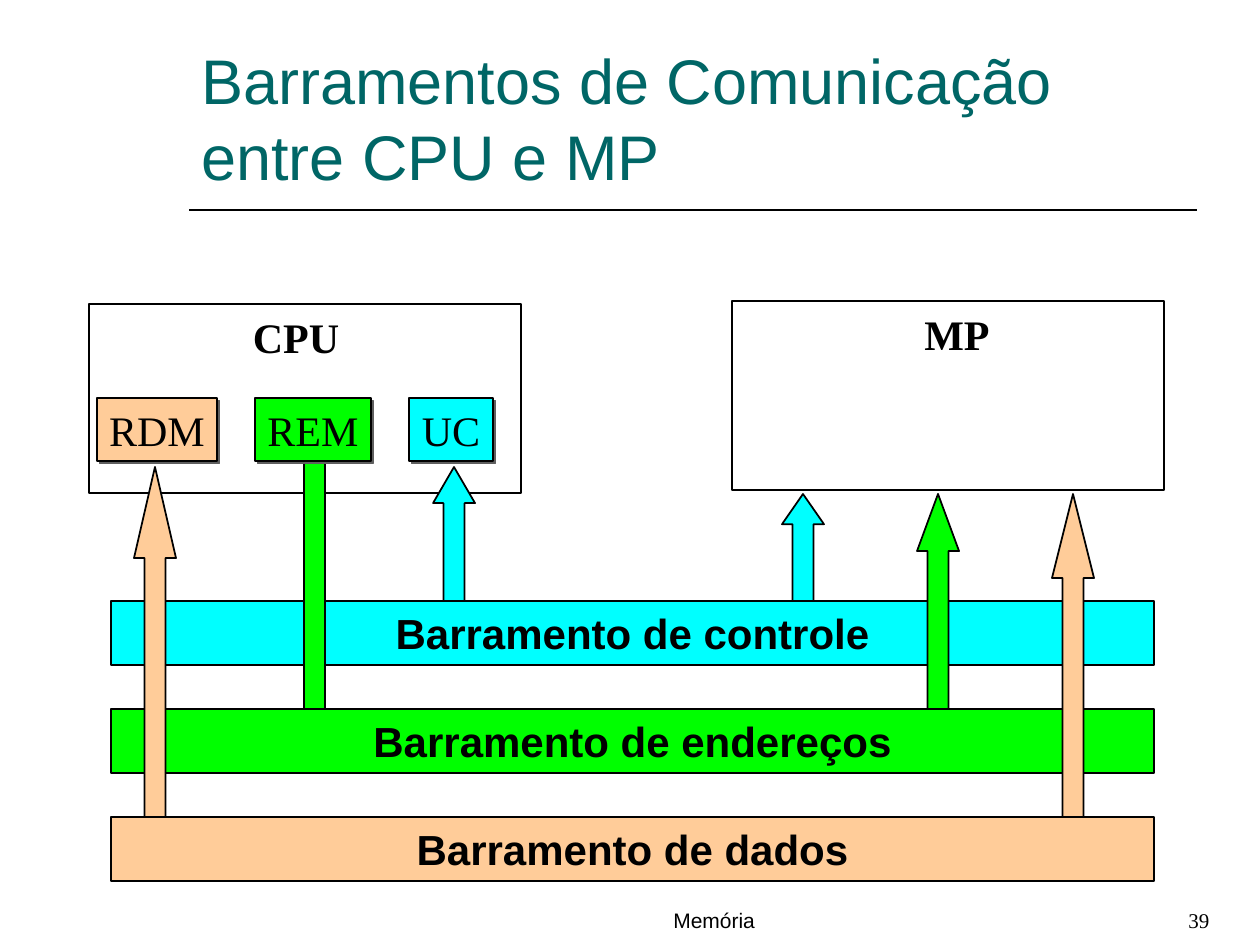
from pptx import Presentation
from pptx.dml.color import RGBColor
from pptx.enum.shapes import MSO_CONNECTOR, MSO_SHAPE
from pptx.enum.text import MSO_ANCHOR, PP_ALIGN
from pptx.oxml import parse_xml
from pptx.oxml.ns import nsdecls
from pptx.util import Emu, Pt

RECT, ARROW = MSO_SHAPE.RECTANGLE, MSO_SHAPE.UP_ARROW
LEFT, CENTER = PP_ALIGN.LEFT, PP_ALIGN.CENTER
TOP, BOTTOM = MSO_ANCHOR.TOP, MSO_ANCHOR.BOTTOM
STRAIGHT = MSO_CONNECTOR.STRAIGHT
SCALE = 914400 / 126


class Theme:
    black = RGBColor(0, 0, 0)
    white = RGBColor(255, 255, 255)
    teal = RGBColor(0, 102, 102)
    cyan = RGBColor(0, 255, 255)
    green = RGBColor(0, 255, 0)
    peach = RGBColor(255, 204, 153)
    shade = "5F5F5F"
    sans, serif = "Arial", "Times New Roman"
    head, body, foot = Pt(36), Pt(24), Pt(12)
    line = Pt(1)


def px(*nums):
    return [Emu(round(n * SCALE)) for n in nums]


def write(shape, text, font, size, color=Theme.black, bold=False,
          align=CENTER, anchor=TOP, wrap=True):
    frame = shape.text_frame
    frame.word_wrap = wrap
    frame.vertical_anchor = anchor
    para = frame.paragraphs[0]
    para.alignment = align
    run = para.add_run()
    run.text = text
    run.font.name = font
    run.font.size = size
    run.font.bold = bold
    run.font.color.rgb = color


deck = Presentation()
deck.slide_width, deck.slide_height = px(1260, 945)
slide = deck.slides.add_slide(deck.slide_layouts[6])
shapes = slide.shapes

rule = shapes.add_connector(STRAIGHT, *px(189, 210, 1197, 210))
rule.line.color.rgb = Theme.black
rule.line.width = Theme.line
rule._element.spPr.append(parse_xml(f"<a:effectLst {nsdecls('a')}/>"))

title = shapes.add_textbox(*px(189, 42, 1008, 157))
write(title, "Barramentos de Comunicação entre CPU e MP", Theme.sans, Theme.head,
      Theme.teal, align=LEFT, anchor=BOTTOM)

for text, left, font in [("39", 1176, Theme.serif), ("Memória", 661, Theme.sans)]:
    note = shapes.add_textbox(*px(left, 901, 112, 38))
    write(note, text, font, Theme.foot, align=LEFT)

cpu, mp = (89, 304, 432, 189), (732, 301, 432, 189)
control = [(782, 494, 121, 0.72), (433, 467, 145, 0.86)]
address = [(917, 494, 228, 1.36)]
data = [(134, 467, 365, 2.17), (1052, 494, 336, 2)]

parts = [(RECT, *cpu, Theme.white, None), (RECT, *mp, Theme.white, None)]
buses = [
    ("Barramento de controle", Theme.cyan, control),
    ("Barramento de endereços", Theme.green, address),
    ("Barramento de dados", Theme.peach, data),
]
for row, (text, color, arrows) in enumerate(buses):
    if color == Theme.green:
        parts.append((RECT, 304, 462, 21, 265, color, None))
    for left, top, high, tip in arrows:
        parts.append((ARROW, left, top, 42, high, color, tip))
    parts.append((RECT, 111, 601 + 108 * row, 1043, 64, color, text))

for kind, left, top, wide, high, color, info in parts:
    part = shapes.add_shape(kind, *px(left, top, wide, high))
    part.shadow.inherit = False
    part.fill.solid()
    part.fill.fore_color.rgb = color
    part.line.color.rgb = Theme.black
    part.line.width = Theme.line
    if kind == ARROW:
        part.adjustments[0] = 0.5
        part.adjustments[1] = info
    elif info:
        write(part, info, Theme.sans, Theme.body, bold=True)

for text, left, top in [("CPU", 226, 305), ("MP", 887, 302)]:
    label = shapes.add_textbox(*px(left, top, 140, 63))
    write(label, text, Theme.serif, Theme.body, bold=True)

units = [("UC", 409, 84, Theme.cyan), ("REM", 255, 116, Theme.green),
         ("RDM", 97, 120, Theme.peach)]
for text, left, wide, color in units:
    unit = shapes.add_shape(RECT, *px(left, 398, wide, 63))
    unit.fill.solid()
    unit.fill.fore_color.rgb = color
    unit.line.color.rgb = Theme.black
    unit.line.width = Theme.line
    unit._element.spPr.append(parse_xml(
        f"<a:effectLst {nsdecls('a')}>"
        '<a:outerShdw dist="25400" dir="2700000" algn="ctr" rotWithShape="0">'
        f'<a:srgbClr val="{Theme.shade}"/></a:outerShdw></a:effectLst>'))
    write(unit, text, Theme.serif, Theme.body, wrap=False)

deck.save("out.pptx")
